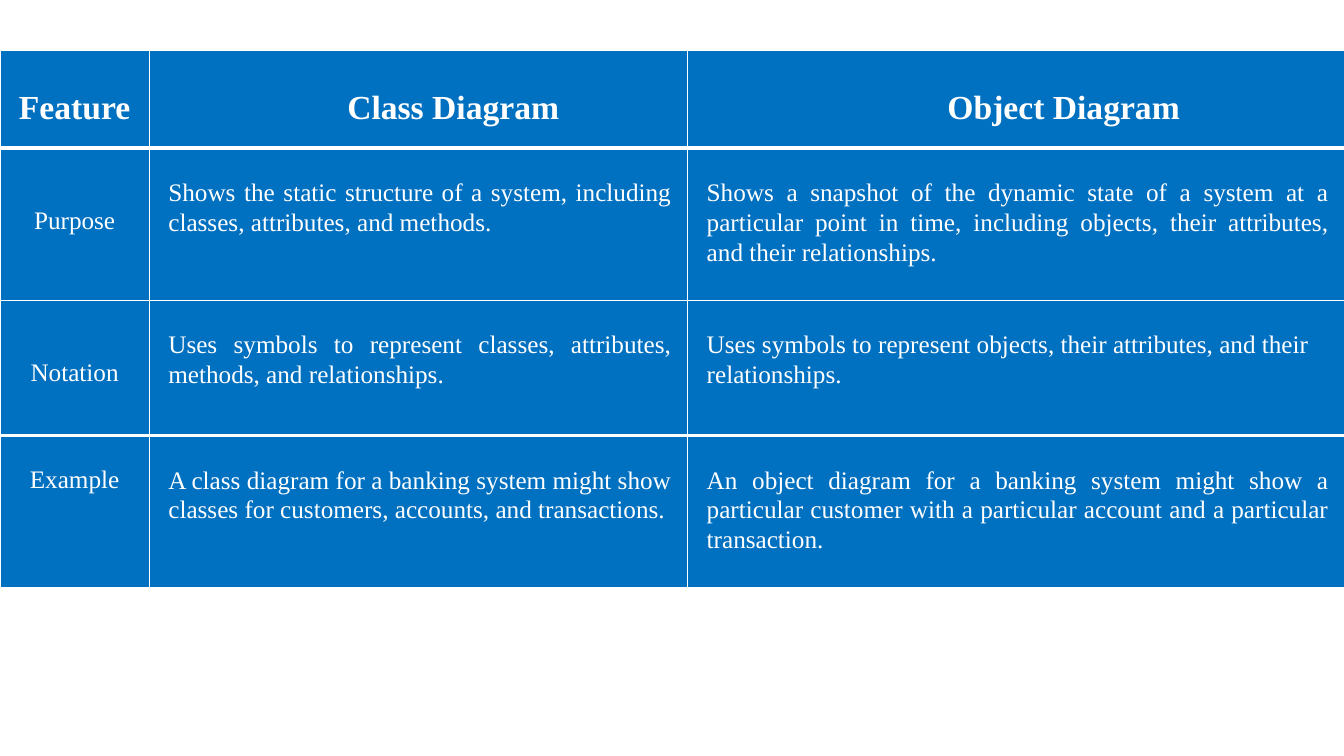
from lxml import etree
from pptx import Presentation
from pptx.dml.color import RGBColor
from pptx.enum.text import PP_ALIGN
from pptx.oxml.ns import qn
from pptx.util import Inches, Pt

CENTER, JUSTIFY, LEFT = PP_ALIGN.CENTER, PP_ALIGN.JUSTIFY, PP_ALIGN.LEFT
BLUE, WHITE = "0070C0", "FFFFFF"
FONT = "Times New Roman"
COLUMN_WIDTHS = [1.48, 5.34, 6.52]
ROW_HEIGHTS = [0.97, 1.51, 1.34, 1.51]
HEADER_INDENTS = [0.16, 0.69, 0.94]
LABEL_TOPS = [0.39, 0.58, 0.58, 0.3]
THICK_RULES = (1, 3)  # rows that begin below a thick rule

ROWS = [
    ["Feature", "Class Diagram", "Object Diagram"],
    ["Purpose",
     "Shows the static structure of a system, including classes, attributes, and methods.",
     "Shows a snapshot of the dynamic state of a system at a particular point in time, "
     "including objects, their attributes, and their relationships."],
    ["Notation",
     "Uses symbols to represent classes, attributes, methods, and relationships.",
     "Uses symbols to represent objects, their attributes, and their relationships."],
    ["Example",
     "A class diagram for a banking system might show classes for customers, accounts, "
     "and transactions.",
     "An object diagram for a banking system might show a particular customer with a "
     "particular account and a particular transaction."],
]


def color(hex_string):
    return RGBColor.from_string(hex_string)


def add_borders(cell, top, bottom):
    properties = cell._tc.get_or_add_tcPr()
    widths = {"a:lnL": 1, "a:lnR": 1, "a:lnT": top, "a:lnB": bottom}
    for position, (tag, width) in enumerate(widths.items()):
        line = etree.Element(qn(tag), w=str(Pt(width)))
        fill = etree.SubElement(line, qn("a:solidFill"))
        etree.SubElement(fill, qn("a:srgbClr"), val=WHITE)
        properties.insert(position, line)


presentation = Presentation()
presentation.slide_width, presentation.slide_height = Inches(13.33), Inches(7.5)
slide = presentation.slides.add_slide(presentation.slide_layouts[6])

# Table grid
table = slide.shapes.add_table(
    len(ROWS), len(COLUMN_WIDTHS), 0, Inches(0.5),
    Inches(sum(COLUMN_WIDTHS)), Inches(sum(ROW_HEIGHTS))).table
for column, width in zip(table.columns, COLUMN_WIDTHS):
    column.width = Inches(width)
for row, height in zip(table.rows, ROW_HEIGHTS):
    row.height = Inches(height)

# Cells: header row, label column and descriptions
for row_index, texts in enumerate(ROWS):
    for column_index, text in enumerate(texts):
        cell = table.cell(row_index, column_index)
        is_header, is_label = row_index == 0, column_index == 0
        cell.fill.solid()
        cell.fill.fore_color.rgb = color(BLUE)
        add_borders(cell,
                    top=3 if row_index in THICK_RULES else 1,
                    bottom=3 if row_index + 1 in THICK_RULES else 1)

        if is_header or is_label:
            top = LABEL_TOPS[row_index]
            left = HEADER_INDENTS[column_index]
            right = 0.16 if is_label else 0
        else:
            top, left, right = 0.29, 0.19, 0.16
        cell.margin_top, cell.margin_bottom = Inches(top), 0
        cell.margin_left, cell.margin_right = Inches(left), Inches(right)

        cell.text_frame.text = text
        paragraph = cell.text_frame.paragraphs[0]
        if is_header or is_label:
            paragraph.alignment = CENTER
        else:
            paragraph.alignment = LEFT if (row_index, column_index) == (2, 2) else JUSTIFY
            paragraph.line_spacing = 1.07
        font = paragraph.runs[0].font
        font.name = FONT
        font.size = Pt(24 if is_header else 18)
        font.bold = is_header
        font.color.rgb = color(WHITE)

presentation.save("out.pptx")
